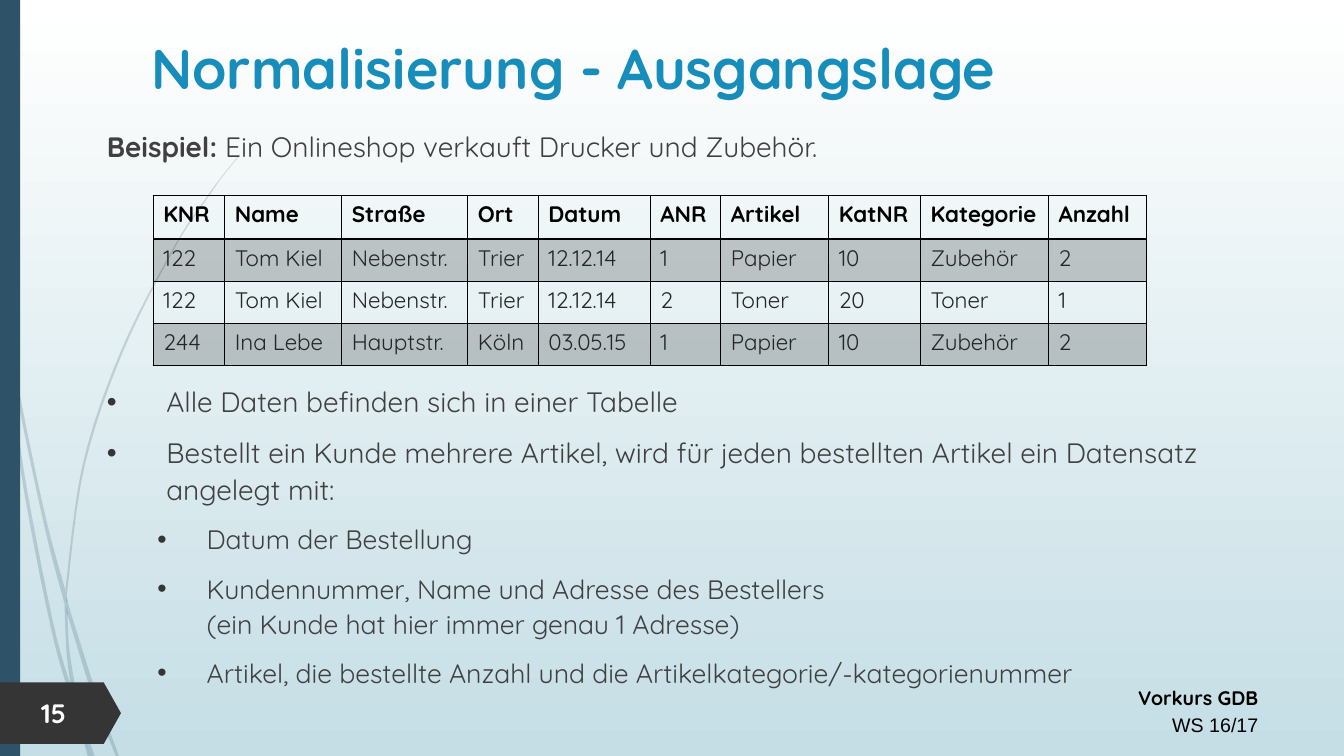
from collections import namedtuple
from lxml.etree import SubElement
from pptx import Presentation
from pptx.dml.color import RGBColor
from pptx.enum.shapes import MSO_SHAPE as Preset
from pptx.enum.text import MSO_ANCHOR as Anchor, MSO_AUTO_SIZE as AutoSize, PP_ALIGN as Align
from pptx.oxml import parse_xml
from pptx.oxml.ns import nsdecls, qn
from pptx.util import Inches, Pt

Box = namedtuple("Box", "left top width height")

WIDTH, HEIGHT = 13.33, 7.5
FONT = "Quicksand"
WHITE = RGBColor(0xFF, 0xFF, 0xFF)
BLACK = RGBColor(0, 0, 0)
PALE_BLUE = RGBColor(0xC5, 0xDE, 0xE5)
DARK_BLUE = RGBColor(0x2E, 0x53, 0x69)
TITLE_BLUE = RGBColor(0x17, 0x8D, 0xBB)
TEXT_GREY = RGBColor(0x40, 0x40, 0x40)
CELL_GREY = RGBColor(0x26, 0x26, 0x26)
TAG_GREY = RGBColor(0x35, 0x35, 0x35)

# Each wisp has two edges, in inches from the corner of its box
WISPS = [
    ([(0.08, 3.5), (0.06, 3.22), (0, 2.82)], [(0, 2.99), (0.08, 3.44)]),
    ([(0.11, 3.45), (0.28, 4.33), (0.47, 5.2), (0.65, 5.86)],
     [(0.64, 5.99), (0.44, 5.22), (0.13, 3.76)]),
    ([(0.67, 5.96), (0.7, 6.07), (0.97, 6.92), (1.18, 7.5)],
     [(1.15, 7.5), (0.93, 6.94), (0.67, 6.1)]),
    ([(0.8, 7.11), (0.91, 7.5)], [(0.94, 7.5)]),
    ([(0.08, 3.5), (0.21, 4.7), (0.5, 6.21), (0.7, 6.93), (0.77, 7.14)],
     [(0.71, 6.83), (0.53, 6.19), (0.24, 4.69), (0.13, 3.76)]),
    ([(0.64, 5.99), (0.66, 6.46), (0.71, 6.83), (0.8, 7.11)],
     [(0.79, 7.06), (0.69, 6.46), (0.67, 6.08)]),
    ([(0.67, 5.96), (0.67, 5.84), (0.84, 4.62), (1.22, 3.49), (1.74, 2.45),
      (2.05, 1.98), (2.21, 1.75), (2.38, 1.54)],
     [(2.38, 1.53), (2.2, 1.75), (2.04, 1.97), (1.73, 2.44), (1.2, 3.48),
      (0.82, 4.61), (0.65, 5.84)]),
    ([(0.77, 7.14), (0.87, 7.5)], [(0.9, 7.5)]),
    ([(0.67, 6.1), (0.67, 5.96)], [(0.65, 5.86), (0.64, 5.99)]),
    ([(0.71, 6.83), (0.77, 7.14), (0.9, 7.5)], [(0.91, 7.5), (0.8, 7.11)]),
]

COLUMNS = [0.71, 1.16, 1.25, 0.7, 1.11, 0.7, 1.07, 0.91, 1.27, 0.97]
ORDERS = [
    ["KNR", "Name", "Straße", "Ort", "Datum", "ANR", "Artikel", "KatNR", "Kategorie", "Anzahl"],
    ["122", "Tom Kiel", "Nebenstr.", "Trier", "12.12.14", "1", "Papier", "10", "Zubehör", "2"],
    ["122", "Tom Kiel", "Nebenstr.", "Trier", "12.12.14", "2", "Toner", "20", "Toner", "1"],
    ["244", "Ina Lebe", "Hauptstr.", "Köln", "03.05.15", "1", "Papier", "10", "Zubehör", "2"],
]
BULLETS = [
    (0, "Alle Daten befinden sich in einer Tabelle"),
    (0, "Bestellt ein Kunde mehrere Artikel, wird für jeden bestellten Artikel "
        "ein Datensatz angelegt mit:"),
    (1, "Datum der Bestellung"),
    (1, "Kundennummer, Name und Adresse des Bestellers\v(ein Kunde hat hier immer genau 1 Adresse)"),
    (1, "Artikel, die bestellte Anzahl und die Artikelkategorie/-kategorienummer"),
]


def place(shape, box):
    shape.left, shape.top, shape.width, shape.height = map(Inches, box)


def style(span, size, color, bold=False, font=FONT):
    span.font.name, span.font.size, span.font.bold = font, Pt(size), bold
    span.font.color.rgb = color


def paint(shape, color):
    shape.shadow.inherit = False
    shape.fill.solid()
    shape.fill.fore_color.rgb = color
    shape.line.fill.background()


def fade(fill, percent):
    color = fill._xPr.find(qn("a:solidFill"))[0]
    SubElement(color, qn("a:alpha"), val=str(percent * 1000))


def smooth(edge, steps=6):
    """Catmull-Rom curve through the points of an edge."""
    padded = [edge[0], *edge, edge[-1]]
    curve = [edge[0]]
    for a, b, c, d in zip(padded, padded[1:], padded[2:], padded[3:]):
        for t in (step / steps for step in range(1, steps + 1)):
            curve.append(tuple(
                (2 * q + (r - p) * t + (2 * p - 5 * q + 4 * r - s) * t ** 2
                 + (3 * q - p - 3 * r + s) * t ** 3) / 2
                for p, q, r, s in zip(a, b, c, d)))
    return curve


def add_wisps(page, box):
    group = page.shapes.add_group_shape()
    for edges in WISPS:
        points = [(Inches(box.left + x), Inches(box.top + y))
                  for edge in edges for x, y in smooth(edge)]
        builder = group.shapes.build_freeform(*points[0])
        builder.add_line_segments(points[1:], close=True)
        wisp = builder.convert_to_shape()
        paint(wisp, DARK_BLUE)
        fade(wisp.fill, 20)


def add_side_bar(page, box):
    paint(page.shapes.add_shape(Preset.RECTANGLE, *map(Inches, box)), DARK_BLUE)


def add_footer(page, box):
    frame = page.shapes.add_textbox(*map(Inches, box)).text_frame
    frame.word_wrap = True
    frame.text = "Vorkurs GDB\nWS 16/17"
    for para, bold, font in zip(frame.paragraphs, (True, False), (FONT, "Arial")):
        para.alignment, para.line_spacing = Align.RIGHT, 1.14
        style(para.runs[0], 14, BLACK, bold, font)


def add_page_tag(page, box):
    tag = page.shapes.add_shape(Preset.PENTAGON, *map(Inches, box))
    tag.adjustments[0] = 0.28
    paint(tag, TAG_GREY)
    number = Box(box.left + 0.31, box.top + 0.09, 0.7, 0.42)
    frame = page.shapes.add_textbox(*map(Inches, number)).text_frame
    frame.word_wrap, frame.vertical_anchor = True, Anchor.MIDDLE
    frame.text = "15"
    style(frame.paragraphs[0].runs[0], 19, WHITE, True)


def fill_title(title, box):
    place(title, box)
    frame = title.text_frame
    frame.text = "Normalisierung - Ausgangslage"
    frame.vertical_anchor, frame.auto_size = Anchor.MIDDLE, AutoSize.NONE
    frame.paragraphs[0].alignment = Align.CENTER
    style(frame.paragraphs[0].runs[0], 40, TITLE_BLUE, True)


def set_bullet(para, margin, indent, mark=None):
    props = para._p.get_or_add_pPr()
    props.set("marL", str(Inches(margin)))
    props.set("indent", str(Inches(indent)))
    if mark:
        color = SubElement(props, qn("a:buClr"))
        SubElement(color, qn("a:srgbClr"), val=str(TAG_GREY))
        SubElement(props, qn("a:buFont"), typeface="Arial")
        SubElement(props, qn("a:buChar"), char=mark)
    else:
        SubElement(props, qn("a:buNone"))


def fill_body(body, box):
    place(body, box)
    frame = body.text_frame
    frame.auto_size, frame.vertical_anchor = AutoSize.NONE, Anchor.TOP
    intro = frame.paragraphs[0]
    for text, bold in (("Beispiel: ", True), ("Ein Onlineshop verkauft Drucker und Zubehör.", False)):
        span = intro.add_run()
        span.text = text
        style(span, 20, TEXT_GREY, bold)
    set_bullet(intro, 0, 0)
    intro.space_before, intro.line_spacing = Pt(0), 1.1
    for index, (level, text) in enumerate(BULLETS):
        para = frame.add_paragraph()
        para.text, para.level = text, level
        set_bullet(para, *((0.99, -0.49) if level else (0.59, -0.59)), "•")
        # The first bullet leaves room for the table
        para.space_before, para.line_spacing = Pt(10 if index else 156), 1.1
        size = 20 - level
        for span in para.runs:
            style(span, size, TEXT_GREY)
        for line_break in para._p.findall(qn("a:br")):
            SubElement(line_break, qn("a:rPr"), sz=str(size * 100))


def set_borders(cell, widths):
    props = cell._tc.get_or_add_tcPr()
    for index, (side, width) in enumerate(zip("LRTB", widths)):
        props.insert(index, parse_xml(
            f'<a:ln{side} {nsdecls("a")} w="{Pt(width)}"><a:solidFill>'
            f'<a:srgbClr val="{BLACK}"/></a:solidFill></a:ln{side}>'))


def add_orders(page, box):
    table = page.shapes.add_table(len(ORDERS), len(COLUMNS), *map(Inches, box)).table
    table.first_row = table.horz_banding = False
    for column, width in zip(table.columns, COLUMNS):
        column.width = Inches(width)
    for number, (row, texts) in enumerate(zip(table.rows, ORDERS)):
        row.height = Inches(0.42 if number else 0.43)
        for cell, text in zip(row.cells, texts):
            cell.text = text
            style(cell.text_frame.paragraphs[0].runs[0], 16,
                  CELL_GREY if number else BLACK, not number)
            if number % 2:
                cell.fill.solid()
                cell.fill.fore_color.rgb = BLACK
                fade(cell.fill, 20)
            else:
                cell.fill.background()
            set_borders(cell, (1, 1, 2 if number == 1 else 1, 1 if number else 2))


def build_page(deck):
    page = deck.slides.add_slide(deck.slide_layouts[1])
    backdrop = page.background.fill
    backdrop.gradient()
    backdrop.gradient_angle = 270
    for stop, color, position in zip(backdrop.gradient_stops, (WHITE, PALE_BLUE), (0, 1)):
        stop.color.rgb, stop.position = color, position
    title, body = page.placeholders
    # Decoration
    add_wisps(page, Box(0, 0, WIDTH, HEIGHT))
    add_side_bar(page, Box(0, 0, 0.2, HEIGHT))
    add_footer(page, Box(7.38, 6.72, 5.2, 0.64))
    add_page_tag(page, Box(0, 6.77, 1.2, 0.61))
    # Content in front of the decoration
    for holder in (title, body):
        page.shapes._spTree.append(holder._element)
    fill_title(title, Box(1.2, 0.26, 8.97, 0.81))
    fill_body(body, Box(0.96, 1.2, 11.63, 5.9))
    add_orders(page, Box(1.52, 1.94, sum(COLUMNS), 1.69))


def main():
    deck = Presentation()
    deck.slide_width, deck.slide_height = Inches(WIDTH), Inches(HEIGHT)
    build_page(deck)
    deck.save("out.pptx")


if __name__ == "__main__":
    main()
